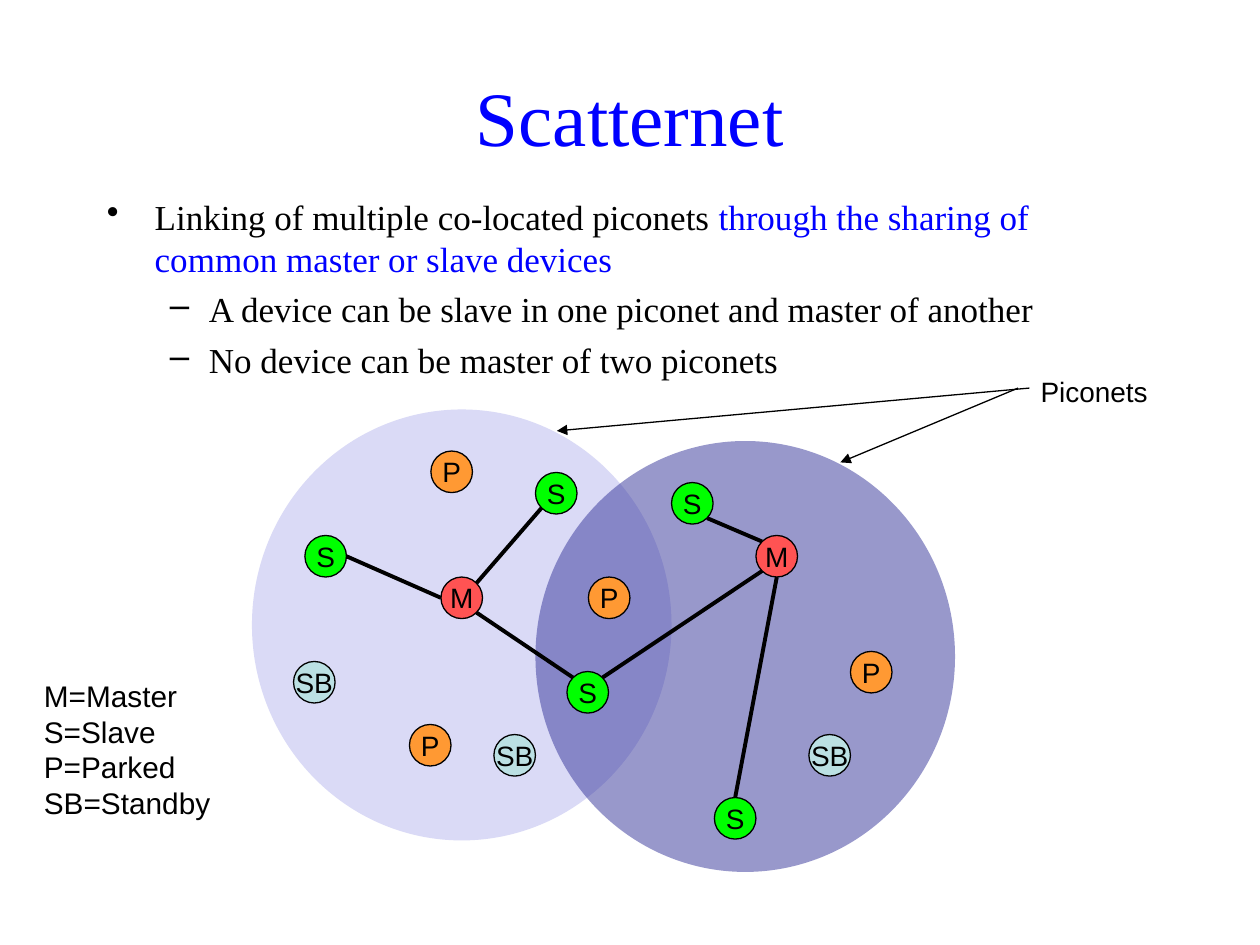
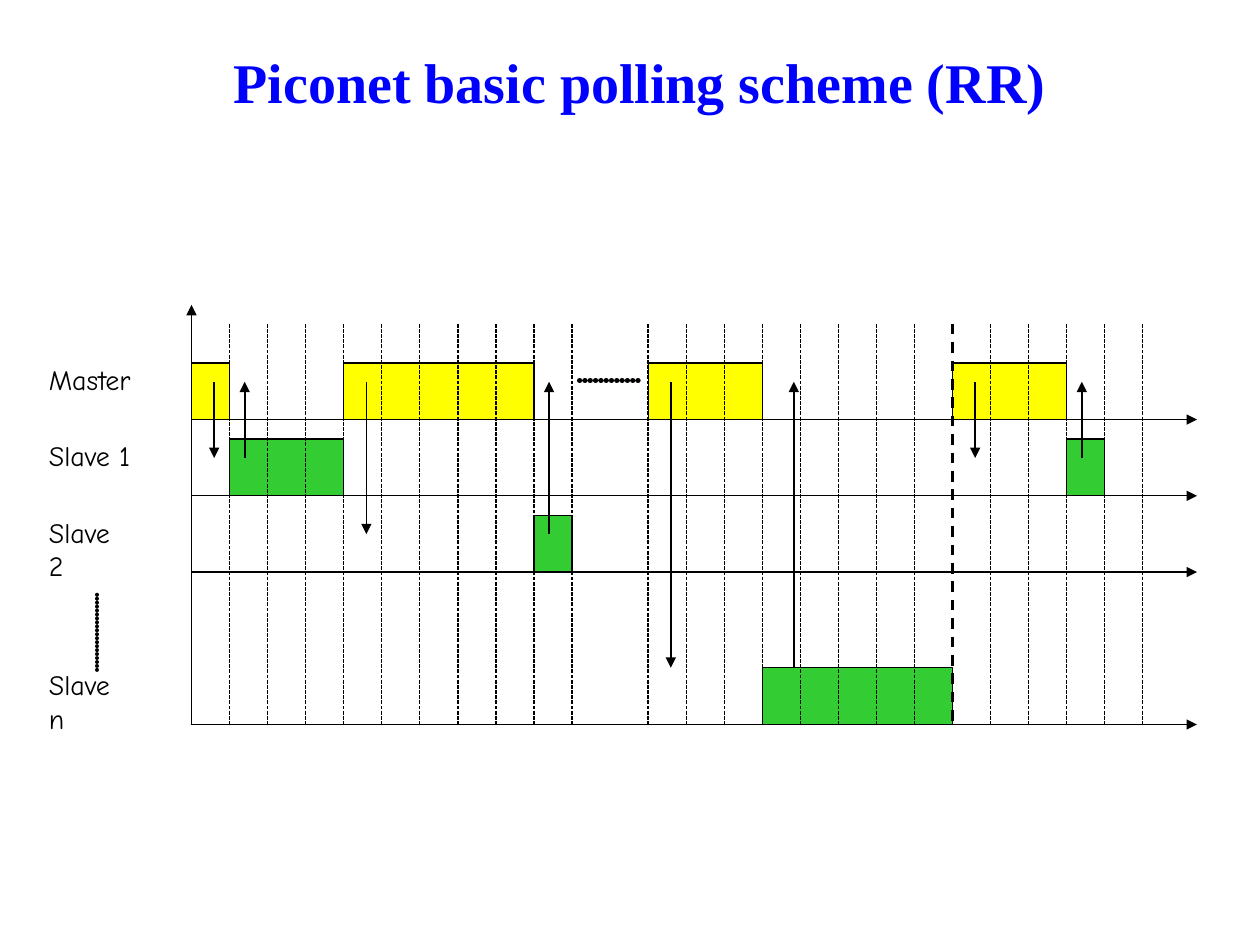
from typing import Any, NamedTuple

from lxml import etree
from pptx import Presentation
from pptx.dml.color import RGBColor
from pptx.enum.dml import MSO_LINE
from pptx.enum.shapes import MSO_CONNECTOR, MSO_SHAPE
from pptx.enum.text import MSO_ANCHOR, MSO_AUTO_SIZE, PP_ALIGN
from pptx.oxml.ns import qn
from pptx.util import Inches, Pt

OVAL, RECT = MSO_SHAPE.OVAL, MSO_SHAPE.RECTANGLE
LINE = MSO_CONNECTOR.STRAIGHT
DASH, FINE = MSO_LINE.DASH, MSO_LINE.SQUARE_DOT
TOP, MIDDLE = MSO_ANCHOR.TOP, MSO_ANCHOR.MIDDLE
LEFT, CENTER = PP_ALIGN.LEFT, PP_ALIGN.CENTER
GROW, FIXED = MSO_AUTO_SIZE.SHAPE_TO_FIT_TEXT, MSO_AUTO_SIZE.NONE

BLACK, BLUE, YELLOW, GREEN = "000000", "0000FF", "FFFF00", "33CC33"
SERIF, SANS, COMIC = "Times New Roman", "Arial", "Comic Neue"
HUES = {"M": "FF5353", "S": "00FF00", "P": "FF9933", "SB": "BBE0E3"}
INSETS = {
    "margin_left": Inches(0.1),
    "margin_right": Inches(0.1),
    "margin_top": Inches(0.05),
    "margin_bottom": Inches(0.05),
}

NODE = 0.33
SIDES = {
    "n": (0, -1), "s": (0, 1), "w": (-1, 0), "e": (1, 0),
    "nw": (-0.71, -0.71), "ne": (0.71, -0.71),
    "sw": (-0.71, 0.71), "se": (0.71, 0.71),
}

START, END, COLS = 1.52, 9.5, 25
GRID_TOP, BASE = 2.57, 3.33
BAR, HALF = 0.45, 0.3
LAST, GAP, CYCLE = 4, 11, 20


class Style(NamedTuple):
    size: float
    face: str
    hue: str = BLACK
    bold: bool = False


class Node(NamedTuple):
    role: str
    x: float
    y: float


class Link(NamedTuple):
    start: Node
    out: str
    end: Node
    side: str


class Point(NamedTuple):
    mark: str
    margin: float
    hang: float
    runs: list[tuple[str, str]]


class Slot(NamedTuple):
    col: int
    span: int
    row: int
    peer: int
    shift: float


def put(thing: Any, **values: Any) -> None:
    for name, value in values.items():
        setattr(thing, name, value)


def tint(code: str) -> RGBColor:
    return RGBColor.from_string(code)


def add_run(para: Any, text: str, style: Style) -> None:
    run = para.add_run()
    run.text = text
    put(run.font, size=Pt(style.size), name=style.face, bold=style.bold)
    run.font.color.rgb = tint(style.hue)


def fill_text(frame: Any, text: str, style: Style, align: Any = LEFT, **values: Any) -> None:
    put(frame, **INSETS, **values)
    for i, line in enumerate(text.split("\n")):
        para = frame.add_paragraph() if i else frame.paragraphs[0]
        para.alignment = align
        add_run(para, line, style)


def add_box(slide: Any, x: float, y: float, w: float, h: float) -> Any:
    return slide.shapes.add_textbox(Inches(x), Inches(y), Inches(w), Inches(h)).text_frame


def add_title(slide: Any, box: tuple, text: str, style: Style, anchor: Any) -> None:
    fill_text(add_box(slide, *box), text, style, CENTER,
              word_wrap=True, vertical_anchor=anchor)


def add_label(slide: Any, box: tuple, text: str, style: Style) -> None:
    fill_text(add_box(slide, *box), text, style, word_wrap=False, auto_size=GROW)


def add_shape(slide: Any, kind: Any, box: tuple, hue: str,
              edge: bool = True, alpha: int = 100) -> Any:
    shape = slide.shapes.add_shape(kind, *(Inches(v) for v in box))
    shape.shadow.inherit = False
    shape.fill.solid()
    shape.fill.fore_color.rgb = tint(hue)
    if alpha < 100:
        clr = next(shape._element.spPr.iter(qn("a:srgbClr")))
        etree.SubElement(clr, qn("a:alpha"), val=str(alpha * 1000))
    if edge:
        shape.line.color.rgb = tint(BLACK)
        shape.line.width = Pt(0.75)
    else:
        shape.line.fill.background()
    return shape


def add_line(slide: Any, start: tuple, end: tuple, width: float = 0.75,
             dash: Any = None, arrow: bool = False, dots: bool = False) -> None:
    wire = slide.shapes.add_connector(LINE, *(Inches(v) for v in (*start, *end)))
    wire.line.color.rgb = tint(BLACK)
    put(wire.line, width=Pt(width), dash_style=dash)
    props = wire._element.spPr
    edge = props.find(qn("a:ln"))
    if dots:
        edge.set("cap", "rnd")
        plan = etree.SubElement(edge, qn("a:custDash"))
        etree.SubElement(plan, qn("a:ds"), d="1000", sp="100000")
    if arrow:
        etree.SubElement(edge, qn("a:tailEnd"), type="triangle")
    etree.SubElement(props, qn("a:effectLst"))


def add_points(slide: Any, box: tuple, points: list[Point]) -> None:
    frame = add_box(slide, *box)
    put(frame, **INSETS, word_wrap=True)
    for i, point in enumerate(points):
        para = frame.add_paragraph() if i else frame.paragraphs[0]
        props = para._p.get_or_add_pPr()
        props.set("marL", str(Inches(point.margin)))
        props.set("indent", str(-Inches(point.hang)))
        etree.SubElement(props, qn("a:buChar"), char=point.mark)
        if i:
            para.space_before = Pt(5)
        for text, hue in point.runs:
            add_run(para, text, Style(20, SERIF, hue))


def add_node(slide: Any, node: Node) -> None:
    shape = add_shape(slide, OVAL, (node.x, node.y, NODE, NODE), HUES[node.role])
    fill_text(shape.text_frame, node.role, Style(16, SANS), CENTER,
              word_wrap=False, auto_size=FIXED, vertical_anchor=MIDDLE)


def rim(node: Node, side: str) -> tuple[float, float]:
    dx, dy = SIDES[side]
    half = NODE / 2
    return node.x + half * (1 + dx), node.y + half * (1 + dy)


def draw_net(slide: Any) -> None:
    add_shape(slide, OVAL, (2, 3.25, 3.33, 3.42), "DADAF6", False)
    add_shape(slide, OVAL, (4.25, 3.5, 3.33, 3.42), "333399", False, 50)
    add_title(slide, (0.75, 0.5, 8.5, 0.83), "Scatternet", Style(44, SERIF, BLUE), MIDDLE)
    add_points(slide, (0.75, 1.5, 8.5, 5.17), [
        Point("•", 0.38, 0.38, [
            ("Linking of multiple co-located piconets ", BLACK),
            ("through the sharing of common master or slave devices", BLUE)]),
        Point("–", 0.81, 0.31, [
            ("A device can be slave in one piconet and master of another", BLACK)]),
        Point("–", 0.81, 0.31, [("No device can be master of two piconets", BLACK)]),
    ])
    add_label(slide, (0.25, 5.33, 1.54, 1.24),
              "M=Master\nS=Slave\nP=Parked\nSB=Standby", Style(17, SANS))

    hub, peer = Node("M", 3.5, 4.58), Node("M", 6, 4.25)
    bridge = Node("S", 4.5, 5.33)
    west, north = Node("S", 2.42, 4.25), Node("S", 4.25, 3.75)
    upper, lower = Node("S", 5.33, 3.83), Node("S", 5.67, 6.33)
    idle = [
        Node("P", 3.25, 5.75), Node("P", 3.42, 3.58), Node("P", 4.67, 4.58),
        Node("P", 6.75, 5.17), Node("SB", 2.33, 5.25), Node("SB", 3.92, 5.83),
        Node("SB", 6.42, 5.83),
    ]
    for node in [hub, peer, bridge, west, north, upper, lower, *idle]:
        add_node(slide, node)
    for link in [
        Link(hub, "w", west, "e"), Link(hub, "ne", north, "sw"),
        Link(bridge, "nw", hub, "se"), Link(peer, "nw", upper, "se"),
        Link(peer, "sw", bridge, "ne"), Link(peer, "s", lower, "n"),
    ]:
        add_line(slide, rim(link.start, link.out), rim(link.end, link.side), 2.25)

    add_label(slide, (8.16, 2.92, 1.05, 0.37), "Piconets", Style(16, SANS))
    add_line(slide, (8.17, 3.08), (4.42, 3.42), arrow=True)
    add_line(slide, (8.08, 3.08), (6.67, 3.67), arrow=True)


def col_x(col: int) -> float:
    return START + 7.55 * col / COLS


def row_y(row: int) -> float:
    return BASE + 2.42 * row / LAST


def tip_y(row: int) -> float:
    return row_y(row) - (BAR if row == LAST else HALF)


def draw_poll(slide: Any) -> None:
    for slot in [
        Slot(0, 1, 0, 1, 0.18), Slot(4, 5, 0, 2, 0.18),
        Slot(12, 3, 0, LAST, 0.18), Slot(9, 1, 2, 0, 0.12),
        Slot(15, 5, LAST, 0, 0.25), Slot(1, 3, 1, 0, 0.12),
        Slot(23, 1, 1, 0, 0.12), Slot(20, 3, 0, 1, 0.18),
    ]:
        x = col_x(slot.col)
        wide = col_x(slot.col + slot.span) - x
        hue = GREEN if slot.row else YELLOW
        add_shape(slide, RECT, (x, row_y(slot.row) - BAR, wide, BAR), hue)
        add_line(slide, (x + slot.shift, tip_y(slot.row)),
                 (x + slot.shift, tip_y(slot.peer)), 1, arrow=True)

    floor = row_y(LAST)
    add_line(slide, (START, floor), (START, 2.42), arrow=True)
    names = {0: "Master", 1: "Slave 1", 2: "Slave 2", LAST: "Slave n"}
    for row, name in names.items():
        y = row_y(row)
        add_line(slide, (START, y), (END, y), arrow=True)
        add_label(slide, (0.29, y - 0.5, 0.87, 0.37), name, Style(16, COMIC))
    for col in range(1, COLS + 1):
        if col != GAP:
            width, dash = (1.5, DASH) if col == CYCLE else (0.75, FINE)
            add_line(slide, (col_x(col), GRID_TOP), (col_x(col), floor), width, dash)
    add_line(slide, (4.6, 3.02), (5.09, 3.02), 3, dots=True)
    add_line(slide, (0.77, 4.72), (0.77, 5.32), 2.25, dots=True)
    add_title(slide, (0.58, 0.33, 9, 0.8), "Piconet basic polling scheme (RR)",
              Style(32, SERIF, BLUE, True), TOP)


def main() -> None:
    deck = Presentation()
    put(deck, slide_width=Inches(10), slide_height=Inches(7.5))
    for draw in (draw_net, draw_poll):
        draw(deck.slides.add_slide(deck.slide_layouts[6]))
    deck.save("out.pptx")


if __name__ == "__main__":
    main()
